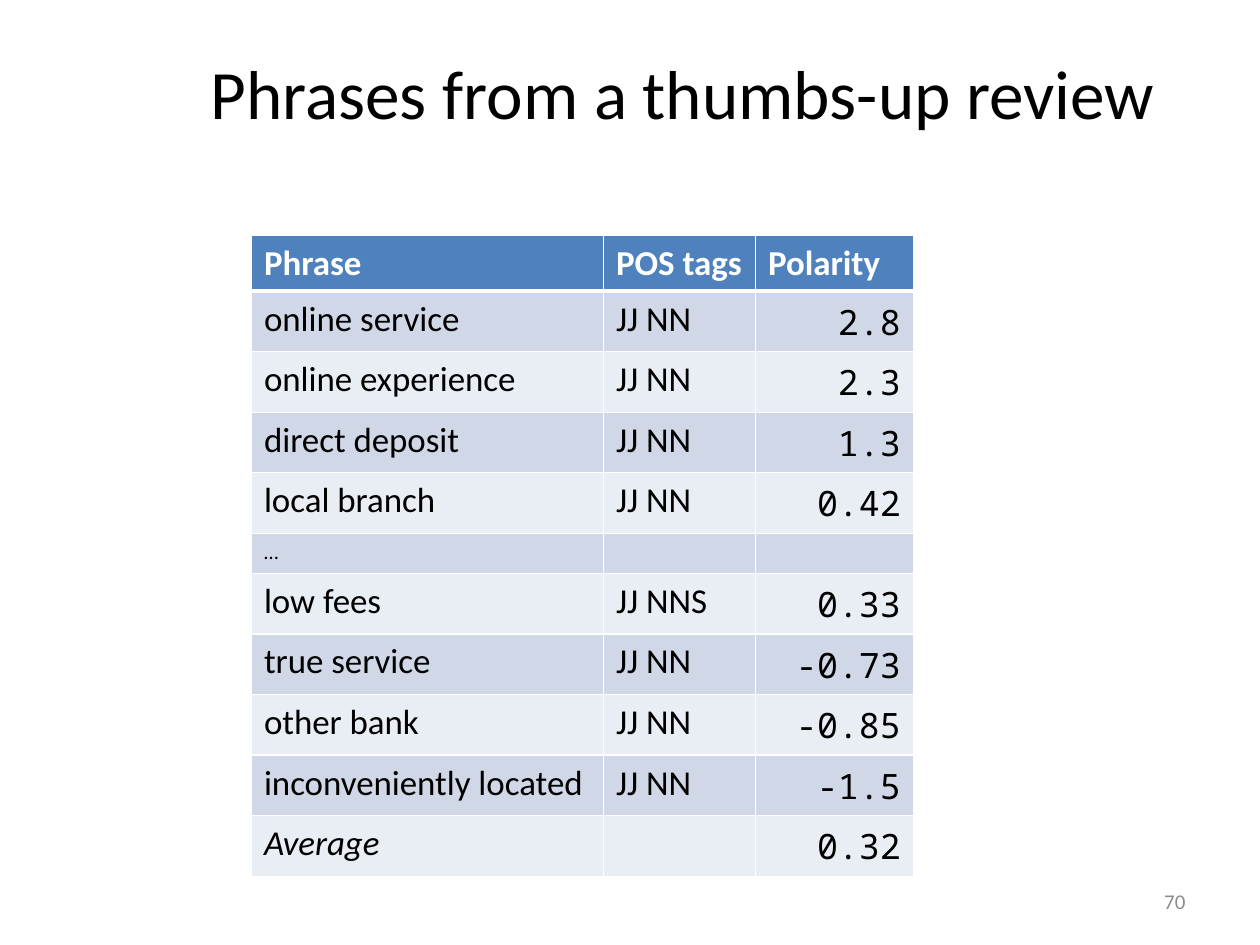
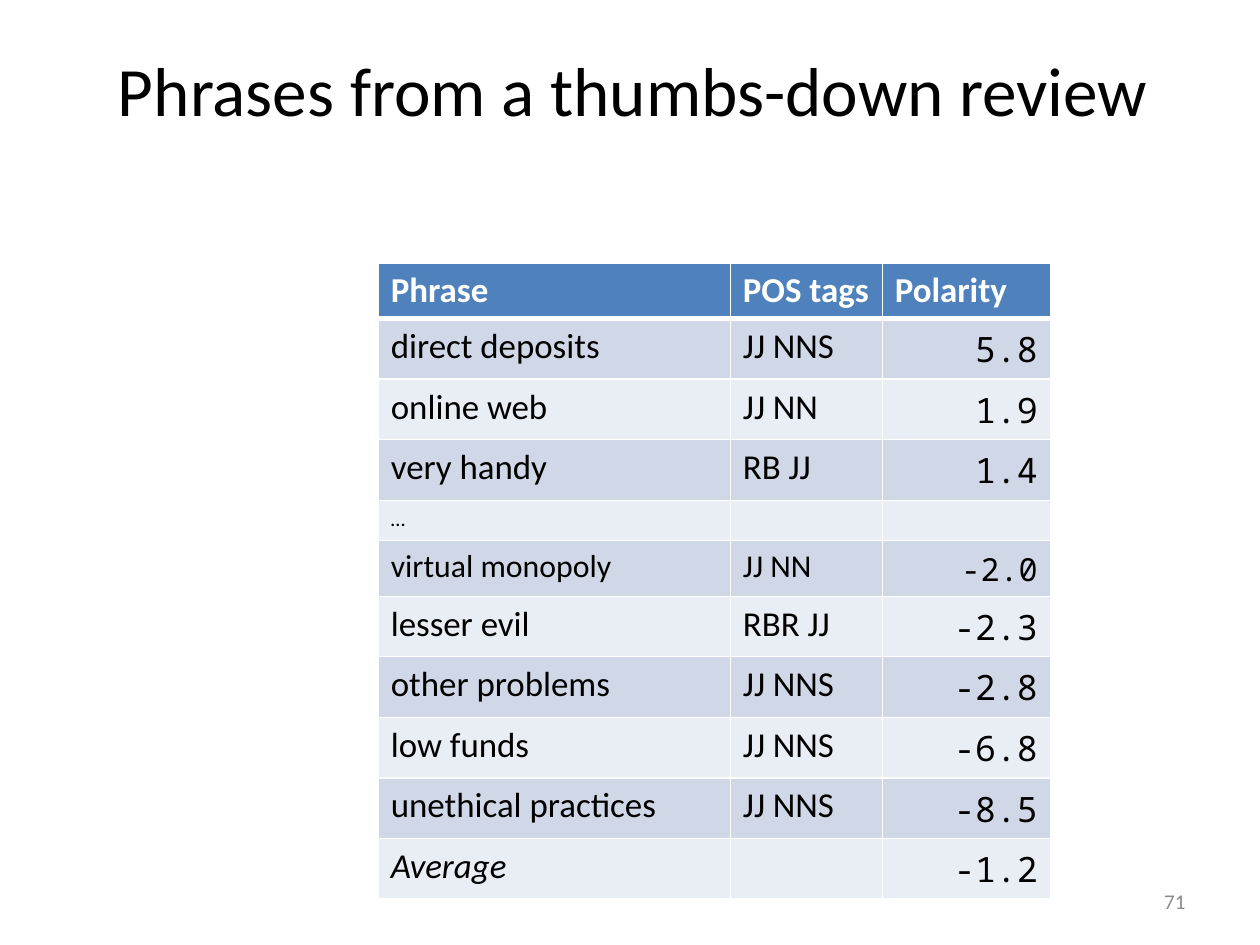
from dataclasses import dataclass

from lxml import etree
from pptx import Presentation
from pptx.dml.color import RGBColor
from pptx.enum import text
from pptx.oxml.ns import qn
from pptx.util import Cm, Inches, Pt

LEFT, MID, RIGHT = text.PP_ALIGN.LEFT, text.PP_ALIGN.CENTER, text.PP_ALIGN.RIGHT


@dataclass(frozen=True)
class Theme:
    sans: str = "Calibri"
    mono: str = "Noto Sans Mono"
    ink: str = "000000"
    white: str = "FFFFFF"
    grey: str = "8C8C8C"
    head: str = "4F81BD"
    bands: tuple = ("E9EDF4", "D0D8E8")
    title: float = 43.6
    foot: float = 13.2
    body: int = 22
    small: int = 20
    gap: int = 13


T = Theme()
TOP = 0.47
HEIGHTS = {T.body: 0.53, T.small: 0.49, T.gap: 0.35}
HEAD = ("Phrase", "POS tags", "Polarity")

# Each row: phrase, tags, polarity and, if not the body size, its type size
UP = [
    ("online service", "JJ NN", "2.8"),
    ("online experience", "JJ NN", "2.3"),
    ("direct deposit", "JJ NN", "1.3"),
    ("local branch", "JJ NN", "0.42"),
    ("…", "", "", T.gap),
    ("low fees", "JJ NNS", "0.33"),
    ("true service", "JJ NN", "-0.73"),
    ("other bank", "JJ NN", "-0.85"),
    ("inconveniently located", "JJ NN", "-1.5"),
    ("Average", "", "0.32"),
]
DOWN = [
    ("direct deposits", "JJ NNS", "5.8"),
    ("online web", "JJ NN", "1.9"),
    ("very handy", "RB JJ", "1.4"),
    ("…", "", "", T.gap),
    ("virtual monopoly", "JJ NN", "-2.0", T.small),
    ("lesser evil", "RBR JJ", "-2.3"),
    ("other problems", "JJ NNS", "-2.8"),
    ("low funds", "JJ NNS", "-6.8"),
    ("unethical practices", "JJ NNS", "-8.5"),
    ("Average", "", "-1.2"),
]


def add_run(para, words, size, color, face=T.sans, bold=False, slant=False):
    run = para.add_run()
    run.text = words
    font = run.font
    font.name, font.size = face, Pt(size)
    font.bold, font.italic = bold, slant
    font.color.rgb = RGBColor.from_string(color)


def add_text(slide, box, words, size, color, align):
    frame = slide.shapes.add_textbox(*map(Inches, box)).text_frame
    frame.word_wrap = True
    frame.vertical_anchor = text.MSO_ANCHOR.MIDDLE
    para = frame.paragraphs[0]
    para.alignment = align
    add_run(para, words, size, color)


def set_edges(cell, row):
    """Draw white cell borders, with a thick rule below the header."""
    props = cell._tc.get_or_add_tcPr()
    thick = {0: "lnB", 1: "lnT"}.get(row)
    for side in ("lnL", "lnR", "lnT", "lnB"):
        width = Pt(3 if side == thick else 1)
        line = etree.SubElement(props, qn("a:" + side), w=str(int(width)))
        fill = etree.SubElement(line, qn("a:solidFill"))
        etree.SubElement(fill, qn("a:srgbClr"), val=T.white)


def fill_cell(cell, row, col, words, size):
    set_edges(cell, row)
    cell.fill.solid()
    shade = T.bands[row % 2] if row else T.head
    cell.fill.fore_color.rgb = RGBColor.from_string(shade)
    cell.margin_left = cell.margin_right = Inches(0.11)
    cell.margin_top = cell.margin_bottom = Inches(0.06)
    para = cell.text_frame.paragraphs[0]
    score = row > 0 and col == 2
    para.alignment = RIGHT if score else LEFT
    if words:
        add_run(para, words, size, T.ink if row else T.white,
                T.mono if score else T.sans, row == 0, words == "Average")
    else:
        # An empty cell needs a type size too, or it makes its row taller
        etree.SubElement(para._p, qn("a:endParaRPr"), sz=str(size * 100))


def add_grid(slide, left, top, widths, rows):
    sizes = [row[3] if len(row) > 3 else T.body for row in rows]
    tall = [TOP] + [HEIGHTS[size] for size in sizes]
    box = (left, top, sum(widths), sum(tall))
    grid = slide.shapes.add_table(len(tall), len(widths), *map(Inches, box)).table
    for col, width in zip(grid.columns, widths):
        col.width = Inches(width)
    for r, (row, size) in enumerate(zip([HEAD] + rows, [T.body] + sizes)):
        grid.rows[r].height = Inches(tall[r])
        for c, words in enumerate(row[:3]):
            fill_cell(grid.cell(r, c), r, c, words, size)


def add_page(deck, number, title, box):
    slide = deck.slides.add_slide(deck.slide_layouts[6])
    add_text(slide, box, title, T.title, T.ink, MID)
    add_text(slide, (7.9, 7.66, 2.57, 0.44), str(number), T.foot, T.grey, RIGHT)
    return slide


def main():
    deck = Presentation()
    deck.slide_width, deck.slide_height = Cm(28), Cm(21)
    page = add_page(deck, 70, "Phrases from a thumbs-up review", (1.47, 0.35, 9, 0.9))
    add_grid(page, 2.2, 2.06, (3.08, 1.33, 1.38), UP)
    page = add_page(deck, 71, "Phrases from a thumbs-down review", (0.6, 0.33, 9.87, 0.9))
    add_grid(page, 3.31, 2.3, (3.08, 1.33, 1.47), DOWN)
    deck.save("out.pptx")


if __name__ == "__main__":
    main()
